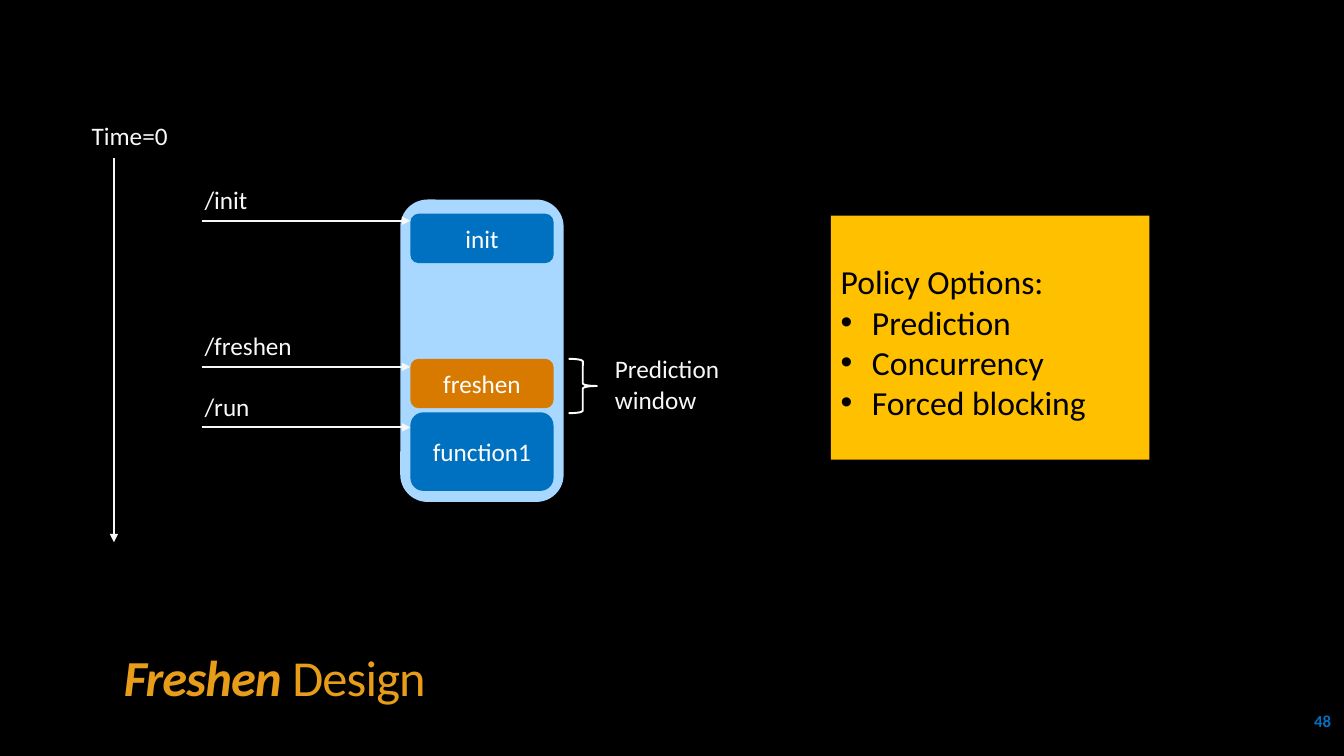
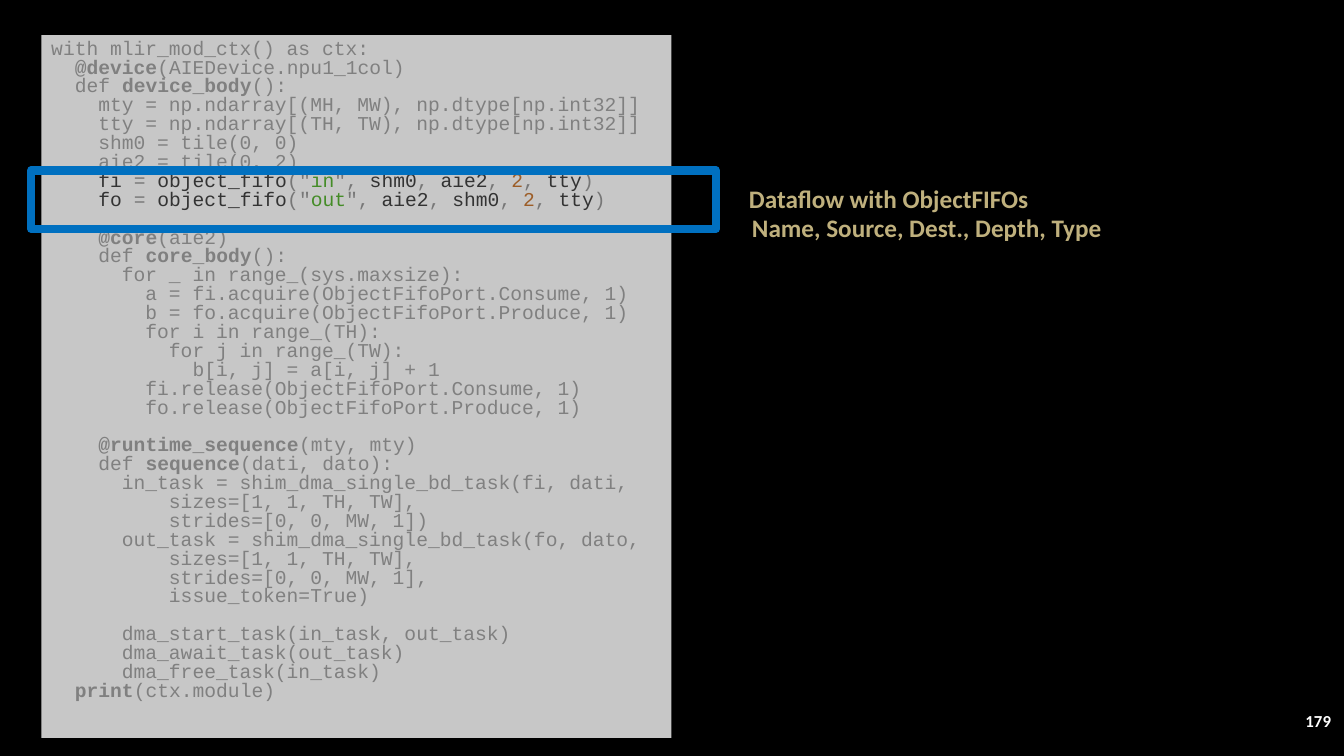
from pptx import Presentation
from pptx import util as u
from pptx.dml import color as col
from pptx.enum import shapes as sh, text as tx
from pptx.oxml import ns, xmlchemy as xc

SANS, MONO = "Calibri", "Courier New"
BLACK, WHITE, PALE = "000000", "FFFFFF", "F8F8F8"
BLUE, SKY, RUST, GOLD = "0070C0", "A8D7FF", "D87A00", "FFC000"
AMBER, SAND, SILVER, GREY = "E79D19", "BFB07D", "C7C7C7", "808080"
INK, MID, GREEN, BROWN = "333333", "777777", "448C27", "9C5D27"
KIND, ALIGN, ANCHOR = sh.MSO_SHAPE, tx.PP_ALIGN, tx.MSO_ANCHOR

PLAIN = """with mlir_mod_ctx() as ctx:
  |@device|(AIEDevice.npu1_1col)
  def |device_body|():
    mty = np.ndarray[(MH, MW), np.dtype[np.int32]]
    tty = np.ndarray[(TH, TW), np.dtype[np.int32]]
    shm0 = tile(0, 0)
    aie2 = tile(0, 2)"""
FIFO = """    fi |= |object_fifo|("|in|",| shm0|,| aie2|, |2|, |tty|)
    fo |= |object_fifo|("|out|",| aie2|,| shm0|, |2|, |tty|)"""
CORE = """    |@core|(aie2)
    def |core_body|():
      for _ in range_(sys.maxsize):
        a = fi.acquire(ObjectFifoPort.Consume, 1)
        b = fo.acquire(ObjectFifoPort.Produce, 1)
        for i in range_(TH):
          for j in range_(TW):
            b[i, j] = a[i, j] + 1
        fi.release(ObjectFifoPort.Consume, 1)
        fo.release(ObjectFifoPort.Produce, 1)"""
SEQUENCE = """    |@runtime_sequence|(mty, mty)
    def |sequence|(dati, dato):
      in_task = shim_dma_single_bd_task(fi, dati,
          sizes=[1, 1, TH, TW],
          strides=[0, 0, MW, 1])
      out_task = shim_dma_single_bd_task(fo, dato,
          sizes=[1, 1, TH, TW],
          strides=[0, 0, MW, 1],
          issue_token=True)"""
TASKS = """      dma_start_task(in_task, out_task)
      dma_await_task(out_task)
      dma_free_task(in_task)
  |print|(ctx.module)"""


def rgb(code):
    return col.RGBColor.from_string(code)


def inches(*sizes):
    return [u.Inches(size) for size in sizes]


def style(run, size, tint, bold=False, face=SANS):
    font = run.font
    font.name, font.size, font.bold = face, u.Pt(size), bold
    font.color.rgb = rgb(tint)


def write(shape, words, size, tint, bold=False, align=ALIGN.LEFT,
          anchor=ANCHOR.TOP):
    frame = shape.text_frame
    frame.text = words
    frame.word_wrap = True
    frame.vertical_anchor = anchor
    for para in frame.paragraphs:
        para.alignment = align
        for run in para.runs:
            style(run, size, tint, bold)
    return frame


def label(slide, box, words, size=18, tint=PALE, **rest):
    return write(slide.shapes.add_textbox(*inches(*box)), words, size, tint, **rest)


def block(slide, kind, box, fill=None, line=None, width=1.35):
    shape = slide.shapes.add_shape(kind, *inches(*box))
    shape.shadow.inherit = False
    if fill:
        shape.fill.solid()
        shape.fill.fore_color.rgb = rgb(fill)
    else:
        shape.fill.background()
    if line:
        shape.line.color.rgb = rgb(line)
        shape.line.width = u.Pt(width)
    else:
        shape.line.fill.background()
    return shape


def child(parent, tag, **values):
    node = xc.OxmlElement(tag)
    for key, value in values.items():
        node.set(key, value)
    parent.append(node)


def arrow(slide, *ends):
    link = slide.shapes.add_connector(sh.MSO_CONNECTOR.STRAIGHT, *inches(*ends))
    link.line.color.rgb = rgb(PALE)
    link.line.width = u.Pt(1.35)
    props = link._element.spPr
    child(props.find(ns.qn("a:ln")), "a:tailEnd", type="triangle")
    child(props, "a:effectLst")


def begin(deck, number, tint):
    slide = deck.slides.add_slide(deck.slide_layouts[6])
    slide.background.fill.solid()
    slide.background.fill.fore_color.rgb = rgb(BLACK)
    label(slide, (11.63, 6.95, 1.67, 0.4), number, 12, tint, bold=True,
          align=ALIGN.RIGHT, anchor=ANCHOR.MIDDLE)
    return slide


def title(slide, box, strong, rest):
    frame = label(slide, box, strong, 36, AMBER, bold=True, anchor=ANCHOR.MIDDLE)
    para = frame.paragraphs[0]
    para.line_spacing = 0.9
    para.runs[0].font.italic = True
    tail = para.add_run()
    tail.text = rest
    style(tail, 36, AMBER)
    for run in para.runs:
        run._r.get_or_add_rPr().set("spc", "-60")


def timeline(slide, x, y):
    label(slide, (x, y, 2.22, 0.4), "Time=0")
    arrow(slide, x + 0.32, y + 0.43, x + 0.32, y + 4.24)


def stages(slide, x, y):
    block(slide, KIND.ROUNDED_RECTANGLE, (x, y, 1.62, 3), SKY)
    steps = (("init", 0.14, 0.49, BLUE, 0.21),
             ("freshen", 1.58, 0.49, RUST, 1.66),
             ("function1", 2.11, 0.78, BLUE, 2.26))
    for name, top, height, fill, call in steps:
        step = block(slide, KIND.ROUNDED_RECTANGLE,
                     (x + 0.1, y + top, 1.42, height), fill)
        write(step, name, 18, WHITE, align=ALIGN.CENTER, anchor=ANCHOR.MIDDLE)
        path = "/run" if name == "function1" else "/" + name
        arrow(slide, x - 1.97, y + call, x + 0.1, y + call)
        label(slide, (x - 2.04, y + call - 0.41, 2.22, 0.4), path)


def window(slide, x, y):
    block(slide, KIND.RIGHT_BRACE, (x, y, 0.28, 0.54), line=WHITE)
    label(slide, (x + 0.36, y - 0.1, 2.01, 0.71), "Prediction window")


def policy(slide, box):
    card = block(slide, KIND.RECTANGLE, box, GOLD)
    words = "Policy Options:\nPrediction\nConcurrency\nForced blocking"
    frame = write(card, words, 24, BLACK)
    frame.margin_top = u.Inches(0.45)
    for para in frame.paragraphs[1:]:
        props = para._p.get_or_add_pPr()
        props.set("marL", str(u.Inches(0.31)))
        props.set("indent", str(-u.Inches(0.31)))
        child(props, "a:buFont", typeface="Arial")
        child(props, "a:buChar", char="•")


def tokens(line, fifo):
    for spot, part in enumerate(line.split("|")):
        odd = spot % 2 == 1
        if fifo:
            yield part, MID if odd else {4: GREEN, 10: BROWN}.get(spot, INK), False
        else:
            yield part, GREY, odd


def listing(slide, box):
    card = block(slide, KIND.RECTANGLE, box, SILVER)
    frame = card.text_frame
    frame.word_wrap = True
    frame.vertical_anchor = ANCHOR.TOP
    para = frame.paragraphs[0]
    for part in (PLAIN, FIFO, CORE, SEQUENCE, TASKS):
        for row, line in enumerate(part.split("\n")):
            if para.runs:
                para = frame.add_paragraph()
            para.alignment = ALIGN.LEFT
            para.line_spacing = u.Pt(13.5)
            if row == 0 and part in (CORE, SEQUENCE, TASKS):
                para.space_before = u.Pt(13.5)
            for words, tint, bold in tokens(line, part == FIFO):
                if words:
                    run = para.add_run()
                    run.text = words
                    style(run, 14, tint, bold, MONO)


def callout(slide, x, y):
    block(slide, KIND.RECTANGLE, (x, y, 6.79, 0.58), line=BLUE, width=6)
    label(slide, (x + 7.02, y + 0.08, 3.89, 0.4), "Dataflow with ObjectFIFOs",
          tint=SAND, bold=True)
    label(slide, (x + 7.05, y + 0.37, 4.32, 0.4),
          "Name, Source, Dest., Depth, Type", tint=SAND, bold=True)


def design(deck):
    slide = begin(deck, "48", BLUE)
    title(slide, (1.13, 6.16, 11.07, 1.18), "Freshen", " Design")
    timeline(slide, 0.81, 1.14)
    stages(slide, 3.97, 1.98)
    window(slide, 5.64, 3.56)
    policy(slide, (8.24, 2.14, 3.16, 2.42))


def dataflow(deck):
    slide = begin(deck, "179", WHITE)
    listing(slide, (0.41, 0.35, 6.25, 6.97))
    callout(slide, 0.31, 1.69)


def main():
    deck = Presentation()
    deck.slide_width, deck.slide_height = inches(13.33, 7.5)
    design(deck)
    dataflow(deck)
    deck.save("out.pptx")


if __name__ == "__main__":
    main()
